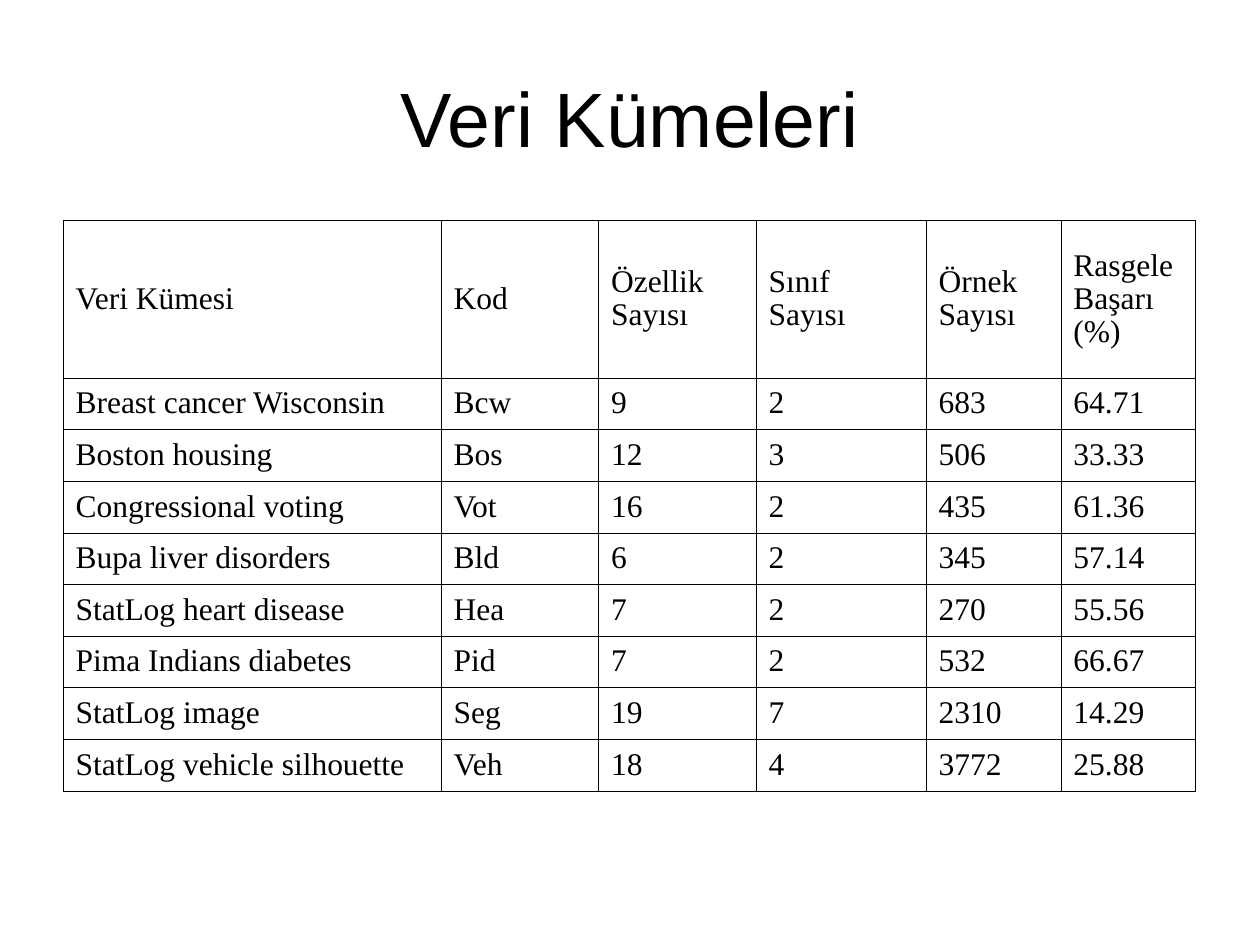
"""Build the slide that tabulates the data sets."""
from lxml.etree import SubElement
from pptx import Presentation
from pptx.dml.color import RGBColor
from pptx.enum.text import MSO_ANCHOR as Anchor, PP_ALIGN as Align
from pptx.oxml.ns import qn
from pptx.util import Inches, Pt

TITLE = "Veri Kümeleri"
HEADINGS = ("Veri Kümesi", "Kod", "Özellik\nSayısı", "Sınıf\nSayısı",
            "Örnek\nSayısı", "Rasgele\nBaşarı\n(%)")
DATA_SETS = [
    ("Breast cancer Wisconsin", "Bcw", "9", "2", "683", "64.71"),
    ("Boston housing", "Bos", "12", "3", "506", "33.33"),
    ("Congressional voting", "Vot", "16", "2", "435", "61.36"),
    ("Bupa liver disorders", "Bld", "6", "2", "345", "57.14"),
    ("StatLog heart disease", "Hea", "7", "2", "270", "55.56"),
    ("Pima Indians diabetes", "Pid", "7", "2", "532", "66.67"),
    ("StatLog image", "Seg", "19", "7", "2310", "14.29"),
    ("StatLog vehicle silhouette", "Veh", "18", "4", "3772", "25.88"),
]
COLUMN_WIDTHS = (3, 1.25, 1.25, 1.35, 1.07, 1.07)
HEADING_HEIGHT, DATA_HEIGHT = 1.25, 0.41
HANGING = Inches(0.38)
BLACK = "000000"


def style(paragraph, font_name, size, align):
    paragraph.alignment = align
    paragraph.font.name = font_name
    paragraph.font.size = Pt(size)
    paragraph.font.color.rgb = RGBColor.from_string(BLACK)


def add_borders(cell):
    properties = cell._tc.get_or_add_tcPr()
    for position, side in enumerate(("lnL", "lnR", "lnT", "lnB")):
        border = SubElement(properties, qn(f"a:{side}"), w=str(Pt(0.45)))
        fill = SubElement(border, qn("a:solidFill"))
        SubElement(fill, qn("a:srgbClr"), val=BLACK)
        properties.insert(position, border)


def fill_cell(cell, text):
    cell.text = text
    cell.vertical_anchor = Anchor.MIDDLE
    cell.fill.background()
    add_borders(cell)
    for paragraph in cell.text_frame.paragraphs:
        style(paragraph, "Times New Roman", 18, Align.JUSTIFY)
        paragraph.line_spacing = 0.95
        indents = paragraph._p.get_or_add_pPr()
        indents.set("marL", str(HANGING))
        indents.set("indent", str(-HANGING))


def add_title(slide):
    frame = slide.shapes.add_textbox(
        Inches(0.5), Inches(0.3), Inches(9), Inches(1.25)).text_frame
    frame.word_wrap = True
    frame.vertical_anchor = Anchor.MIDDLE
    frame.text = TITLE
    style(frame.paragraphs[0], "Arial", 44, Align.CENTER)


def add_data_sets(slide):
    rows = [HEADINGS, *DATA_SETS]
    heights = [HEADING_HEIGHT] + [DATA_HEIGHT] * len(DATA_SETS)
    table = slide.shapes.add_table(
        len(rows), len(HEADINGS), Inches(0.5), Inches(1.75),
        Inches(sum(COLUMN_WIDTHS)), Inches(sum(heights))).table
    table.first_row = table.horz_banding = False
    for column, width in zip(table.columns, COLUMN_WIDTHS):
        column.width = Inches(width)
    for row, height, values in zip(table.rows, heights, rows):
        row.height = Inches(height)
        for cell, value in zip(row.cells, values):
            fill_cell(cell, value)


def main():
    deck = Presentation()
    deck.slide_width, deck.slide_height = Inches(10), Inches(7.5)
    slide = deck.slides.add_slide(deck.slide_layouts[6])
    add_title(slide)
    add_data_sets(slide)
    deck.save("out.pptx")


if __name__ == "__main__":
    main()
